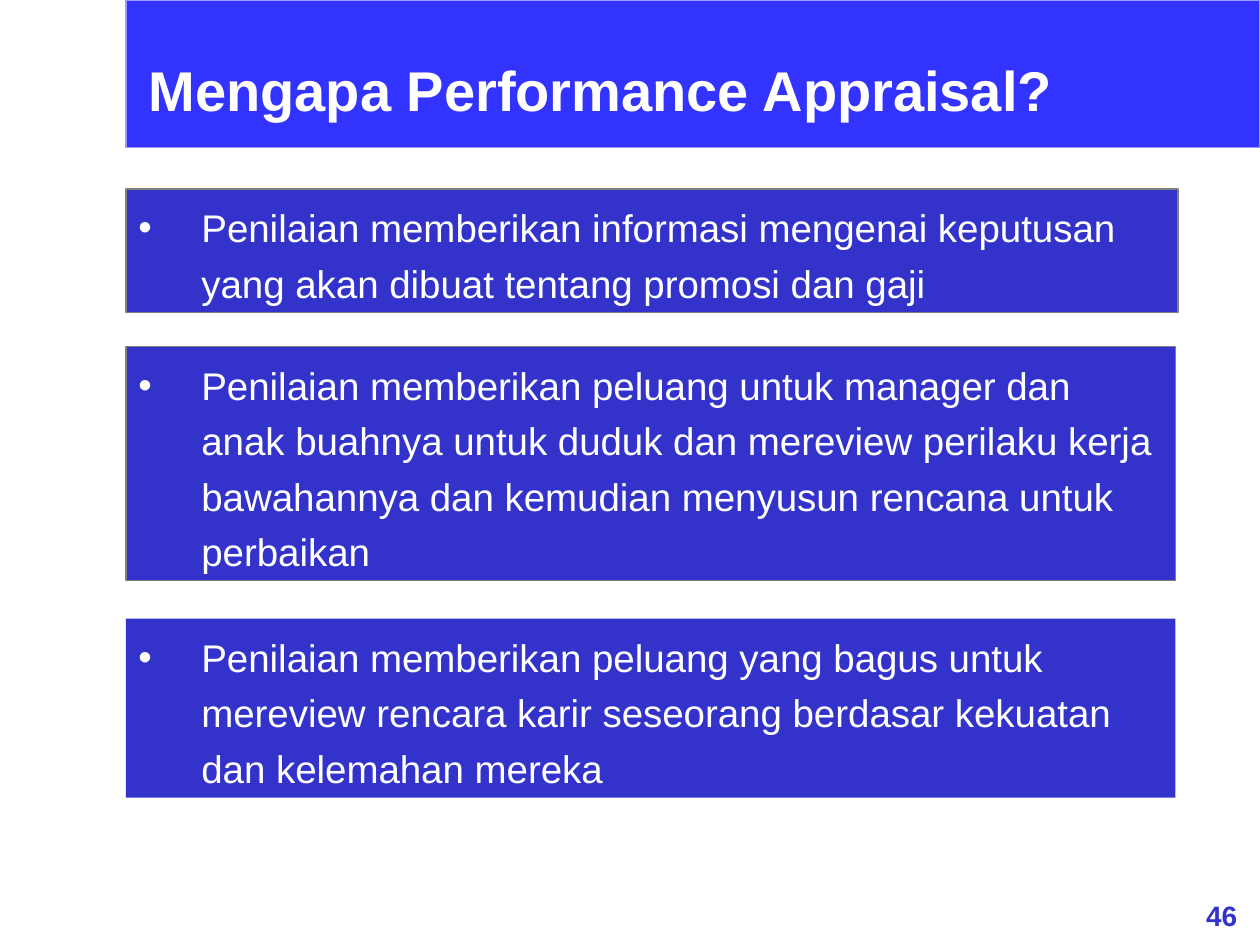
from lxml.etree import SubElement
from pptx import Presentation
from pptx.dml.color import RGBColor
from pptx.enum.shapes import MSO_SHAPE
from pptx.enum.text import MSO_ANCHOR, MSO_AUTO_SIZE, PP_ALIGN
from pptx.oxml.ns import qn
from pptx.util import Inches, Pt

COLORS = {"banner": "3333FF", "banner_line": "9999FF", "panel": "3333CC",
          "panel_line": "808080", "white": "FFFFFF"}


def color(name):
    return RGBColor.from_string(COLORS[name])


def write(shape, text, size, ink="white", bold=False, align=PP_ALIGN.LEFT,
          anchor=MSO_ANCHOR.TOP, bullet=False, line_spacing=1.0):
    frame = shape.text_frame
    frame.word_wrap = True
    frame.auto_size = MSO_AUTO_SIZE.NONE
    frame.vertical_anchor = anchor
    para = frame.paragraphs[0]
    para.alignment = align
    para.line_spacing = line_spacing
    para.space_before = Pt(0)
    if bullet:
        properties = para._p.get_or_add_pPr()
        properties.set("marL", str(Inches(0.5)))
        properties.set("indent", str(-Inches(0.5)))
        SubElement(properties, qn("a:buFont"), typeface="Arial")
        SubElement(properties, qn("a:buChar"), char="•")
    span = para.add_run()
    span.text = text
    span.font.name = "Arial"
    span.font.size = Pt(size)
    span.font.bold = bold
    span.font.color.rgb = color(ink)


deck = Presentation()
deck.slide_width, deck.slide_height = Inches(10), Inches(7.5)
page = deck.slides.add_slide(deck.slide_layouts[5])

# Title on its banner
title = page.shapes.title
title.left, title.top = Inches(1.08), Inches(0.25)
title.width, title.height = Inches(8.25), Inches(0.92)
write(title, "Mengapa Performance Appraisal?", 32, bold=True,
      anchor=MSO_ANCHOR.MIDDLE)

banner = page.shapes.add_shape(MSO_SHAPE.RECTANGLE, Inches(1), Inches(0),
                               Inches(9), Inches(1.17))
banner.shadow.inherit = False
banner.fill.solid()
banner.fill.fore_color.rgb = color("banner")
banner.line.color.rgb = color("banner_line")
banner.line.width = Pt(0.75)
title.element.addprevious(banner.element)

# Reasons: top, width, height, outlined, text
reasons = [
    (1.5, 8.35, 0.98, True,
     "Penilaian memberikan informasi mengenai keputusan yang akan dibuat "
     "tentang promosi dan gaji"),
    (2.75, 8.33, 1.86, True,
     "Penilaian memberikan peluang untuk manager dan anak buahnya untuk duduk "
     "dan mereview perilaku kerja bawahannya dan kemudian menyusun rencana "
     "untuk perbaikan"),
    (4.91, 8.33, 1.42, False,
     "Penilaian memberikan peluang yang bagus untuk mereview rencara karir "
     "seseorang berdasar kekuatan dan kelemahan mereka"),
]
for top, width, height, outlined, text in reasons:
    panel = page.shapes.add_shape(MSO_SHAPE.RECTANGLE, Inches(1), Inches(top),
                                  Inches(width), Inches(height))
    panel.shadow.inherit = False
    panel.fill.solid()
    panel.fill.fore_color.rgb = color("panel")
    if outlined:
        panel.line.color.rgb = color("panel_line")
        panel.line.width = Pt(0.75)
    else:
        panel.line.fill.background()
    write(panel, text, 22, bullet=True, line_spacing=1.2)

page_number = page.shapes.add_textbox(Inches(9.39), Inches(7.08),
                                      Inches(0.61), Inches(0.37))
write(page_number, "46", 16, ink="panel", bold=True, align=PP_ALIGN.CENTER)

deck.save("out.pptx")
